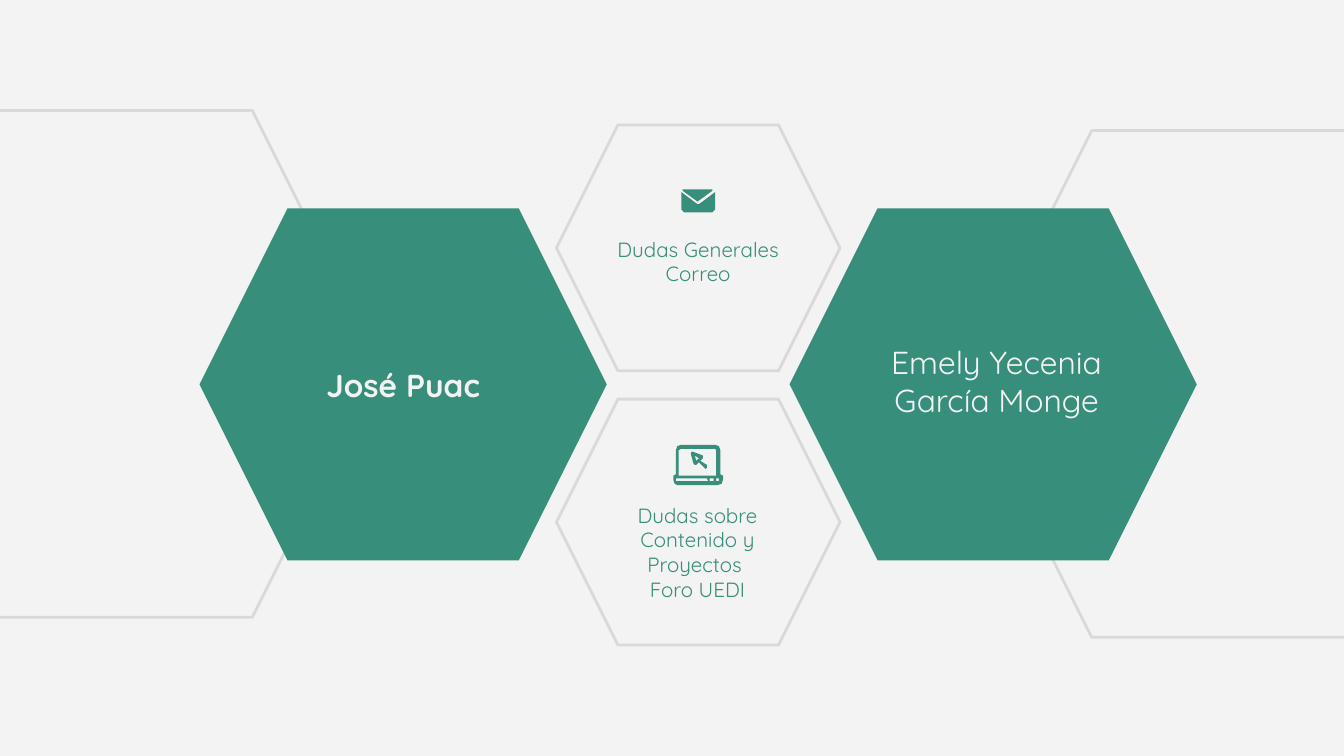
from pptx import Presentation
from pptx.dml.color import RGBColor
from pptx.enum.shapes import MSO_SHAPE
from pptx.enum.text import MSO_ANCHOR, PP_ALIGN
from pptx.util import Inches, Pt

GREEN = RGBColor(0x37, 0x8E, 0x7B)
PALE = RGBColor(0xF3, 0xF3, 0xF3)
GREY = RGBColor(0xD9, 0xD9, 0xD9)

prs = Presentation()
prs.slide_width = Inches(10)
prs.slide_height = prs.slide_width * 9 // 16
U = prs.slide_width // 100  # grid unit: one hundredth of the slide's width
s = prs.slides.add_slide(prs.slide_layouts[5])
s.background.fill.solid()
s.background.fill.fore_color.rgb = PALE


def add_hexagon(left, top, width, height, fill=None, line=None):
    sp = s.shapes.add_shape(MSO_SHAPE.HEXAGON, *(round(v * U) for v in (left, top, width, height)))
    sp.shadow.inherit = False
    if fill is None:
        sp.fill.background()
    else:
        sp.fill.solid()
        sp.fill.fore_color.rgb = fill
    if line is None:
        sp.line.fill.background()
    else:
        sp.line.color.rgb = line
        sp.line.width = Pt(1.5)
    return sp


def write_text(sp, *lines, size=11, color=GREEN, bold=False, anchor=MSO_ANCHOR.TOP):
    tf = sp.text_frame
    tf.word_wrap = True
    tf.vertical_anchor = anchor
    tf.margin_left = tf.margin_right = tf.margin_top = tf.margin_bottom = U
    for i, line in enumerate(lines):
        p = tf.paragraphs[0] if i == 0 else tf.add_paragraph()
        p.alignment = PP_ALIGN.CENTER
        r = p.add_run()
        r.text = line
        r.font.name, r.font.size, r.font.bold = "Quicksand", Pt(size), bold
        r.font.color.rgb = color


# Large outlines running off both sides, then the right-hand name
for left, top in ((71.8, 9.72), (-15.3, 8.23)):
    add_hexagon(left, top, 43.5, 37.7, line=GREY)
add_hexagon(58.75, 15.5, 30.3, 26.2, fill=GREEN)
title = s.shapes.title
title.left, title.top, title.width, title.height = (round(v * U) for v in (62.9, 24.5, 22.5, 10.5))
write_text(title, "Emely Yecenia García Monge", size=17, color=PALE)

# Middle column: hexagon top, text box, lines
contacts = [
    (29.7, (45.4, 36.4, 13, 8.5), ("Dudas sobre Contenido y Proyectos ", "Foro UEDI")),
    (9.3, (44.3, 16.6, 15.3, 6.1), ("Dudas Generales", "Correo")),
]
for top, box, lines in contacts:
    add_hexagon(41.4, top, 21.1, 18.3, fill=PALE, line=GREY)
    tb = s.shapes.add_textbox(*(round(v * U) for v in box))
    write_text(tb, *lines)

# Icons: each is a list of closed contours, in tenths of a grid unit
envelope_body = [[(507, 143), (507, 156), (509, 158), (530, 158), (532, 156), (532, 143),
                  (520, 152), (519, 152)]]
envelope_flap = [[(508, 141), (508, 142), (519, 150), (530, 142), (530, 141)]]
laptop = [
    [(507, 331), (504, 332), (503, 335), (503, 353), (501, 354), (501, 357), (502, 360),
     (504, 361), (534, 361), (537, 360), (538, 357), (538, 354), (536, 353), (536, 335),
     (535, 332), (532, 331)],
    [(507, 334), (505, 335), (505, 354), (533, 354), (533, 335), (532, 334)],
    [(503, 356), (503, 358), (527, 358), (526, 356)],
    [(528, 356), (528, 358), (531, 358), (531, 356)],
    [(533, 356), (533, 358), (535, 358), (535, 356)],
]
pointer = [
    [(515, 336), (514, 337), (514, 338), (516, 345), (517, 346), (518, 346), (520, 344),
     (524, 348), (525, 349), (526, 348), (526, 346), (521, 343), (523, 341), (523, 339)],
    [(517, 339), (520, 341), (518, 343)],
]
for contours in (envelope_body, envelope_flap, laptop, pointer):
    fb = s.shapes.build_freeform(*contours[0][0], scale=U / 10)
    for i, (start, *rest) in enumerate(contours):
        if i > 0:
            fb.move_to(*start)
        fb.add_line_segments(rest, close=True)
    icon = fb.convert_to_shape()
    icon.shadow.inherit = False
    icon.fill.solid()
    icon.fill.fore_color.rgb = GREEN
    icon.line.fill.background()

# Left-hand name
person = add_hexagon(14.85, 15.5, 30.3, 26.2, fill=GREEN)
write_text(person, "José Puac", size=17, color=PALE, bold=True, anchor=MSO_ANCHOR.MIDDLE)

# The title placeholder starts at the back; bring it in front of its hexagon
s.shapes._spTree.append(title._element)

prs.save("out.pptx")
